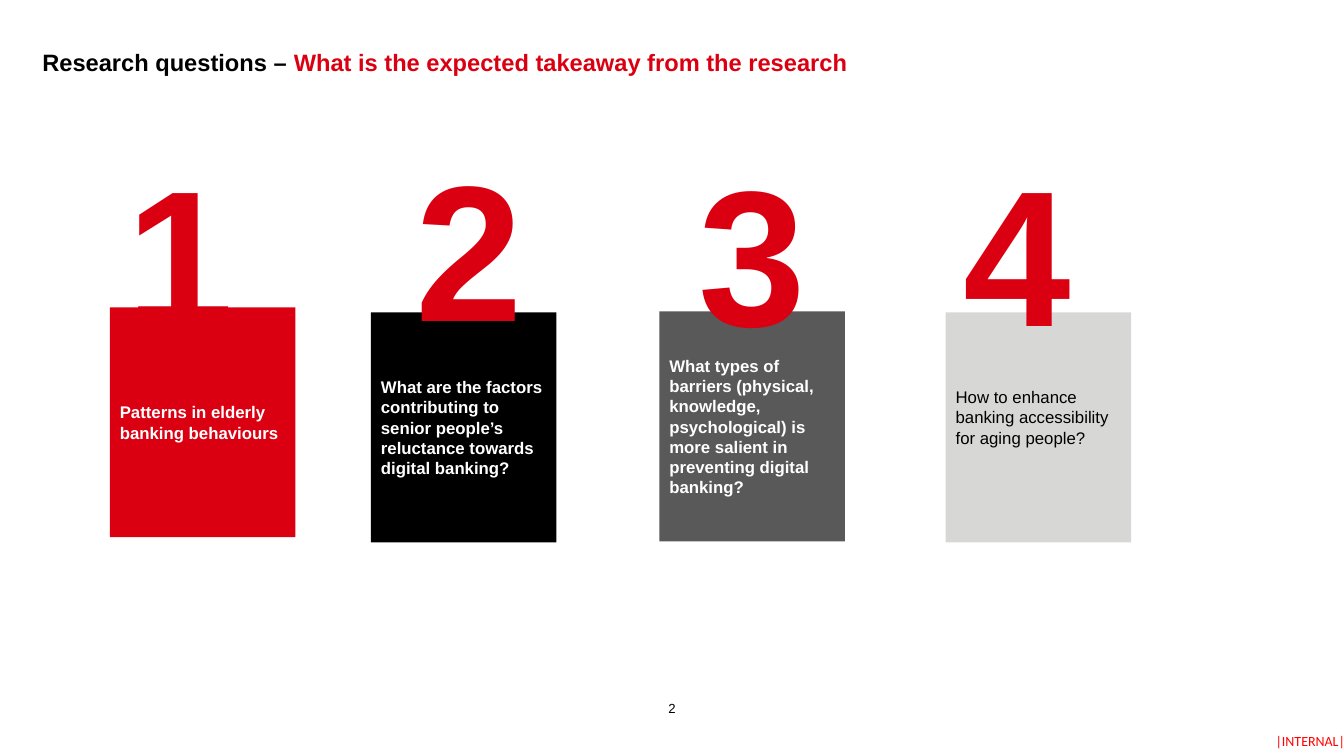
from pptx import Presentation
from pptx.dml.color import RGBColor
from pptx.enum.shapes import MSO_SHAPE
from pptx.enum.text import MSO_ANCHOR, PP_ALIGN
from pptx.util import Inches, Pt

THEME = {
    "red": "DB0011", "black": "000000", "grey": "595959", "silver": "D7D8D6",
    "white": "FFFFFF", "label": "FF0000",
    "title": 16.9, "body": 12, "numeral": 138, "page": 9.4, "footer": 10,
}

presentation = Presentation()
presentation.slide_width, presentation.slide_height = Inches(13.33), Inches(7.5)
slide = presentation.slides.add_slide(presentation.slide_layouts[6])


def write(shape, runs, size, bold=False, font="Arial", align=PP_ALIGN.LEFT, **frame_format):
    """Fill a shape with one paragraph of (text, colour) runs."""
    frame = shape.text_frame
    frame_values = {"word_wrap": True, "vertical_anchor": MSO_ANCHOR.MIDDLE, **frame_format}
    for name, value in frame_values.items():
        setattr(frame, name, value)
    paragraph = frame.paragraphs[0]
    paragraph.alignment = align
    for text, colour in runs:
        run = paragraph.add_run()
        run.text = text
        for name, value in {"name": font, "size": Pt(size), "bold": bold}.items():
            setattr(run.font, name, value)
        run.font.color.rgb = RGBColor.from_string(THEME[colour])
    return paragraph


def add_text(left, top, width, height, *content, **text_format):
    box = slide.shapes.add_textbox(Inches(left), Inches(top), Inches(width), Inches(height))
    return write(box, *content, **text_format)


no_margins = {f"margin_{side}": 0 for side in ("left", "top", "right", "bottom")}

# Title
title = add_text(0.42, 0.51, 12.47, 0.25,
                 [("Research questions – ", "black"),
                  ("What is the expected takeaway from the research", "red")],
                 THEME["title"], bold=True,
                 **{**no_margins, "vertical_anchor": MSO_ANCHOR.TOP,
                    "margin_bottom": Inches(0.02)})
title.line_spacing = 0.9

# Question cards: left, top, fill, text colour, bold, bottom margin, question
card_width, card_height = 1.84, 2.28
cards = [
    (1.09, 3.05, "red", "white", True, 0.05, "Patterns in elderly banking behaviours"),
    (3.68, 3.1, "black", "white", True, 0.05,
     "What are the factors contributing to senior people’s reluctance towards digital banking?"),
    (6.54, 3.09, "grey", "white", True, 0.05,
     "What types of barriers (physical, knowledge, psychological) is more salient "
     "in preventing digital banking?"),
    (9.38, 3.1, "silver", "black", False, 0.25,
     "How to enhance banking accessibility for aging people?"),
]
for left, top, fill, colour, bold, margin, question in cards:
    card = slide.shapes.add_shape(MSO_SHAPE.RECTANGLE, Inches(left), Inches(top),
                                  Inches(card_width), Inches(card_height))
    card.shadow.inherit = False
    card.fill.solid()
    card.fill.fore_color.rgb = RGBColor.from_string(THEME[fill])
    card.line.fill.background()
    write(card, [(question, colour)], THEME["body"], bold=bold, margin_bottom=Inches(margin))

# Large numerals over the cards
numeral_places = [(1.16, 1.67), (4.02, 1.62), (6.83, 1.67), (9.46, 1.67)]
for number, (left, top) in enumerate(numeral_places, start=1):
    add_text(left, top, 1.09, 1.6, [(str(number), "red")], THEME["numeral"], bold=True)

# Page number and classification label
add_text(6.56, 6.93, 0.21, 0.2, [("2", "black")], THEME["page"],
         align=PP_ALIGN.CENTER, **{**no_margins, "word_wrap": False})
add_text(12.34, 7.21, 1, 0.29, [("|INTERNAL|", "label")], THEME["footer"],
         font="Calibri", align=PP_ALIGN.RIGHT, **no_margins)

presentation.save("out.pptx")
